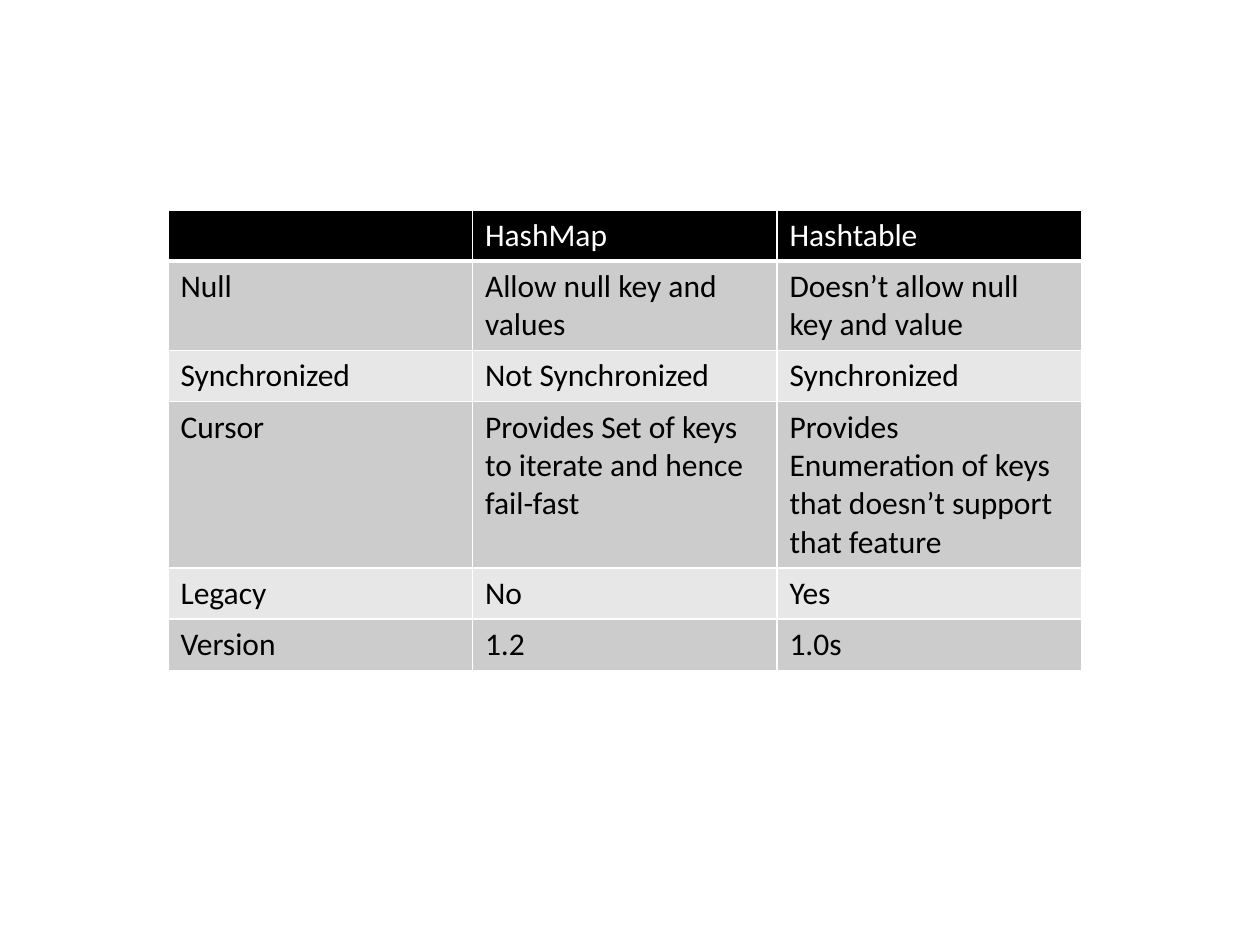
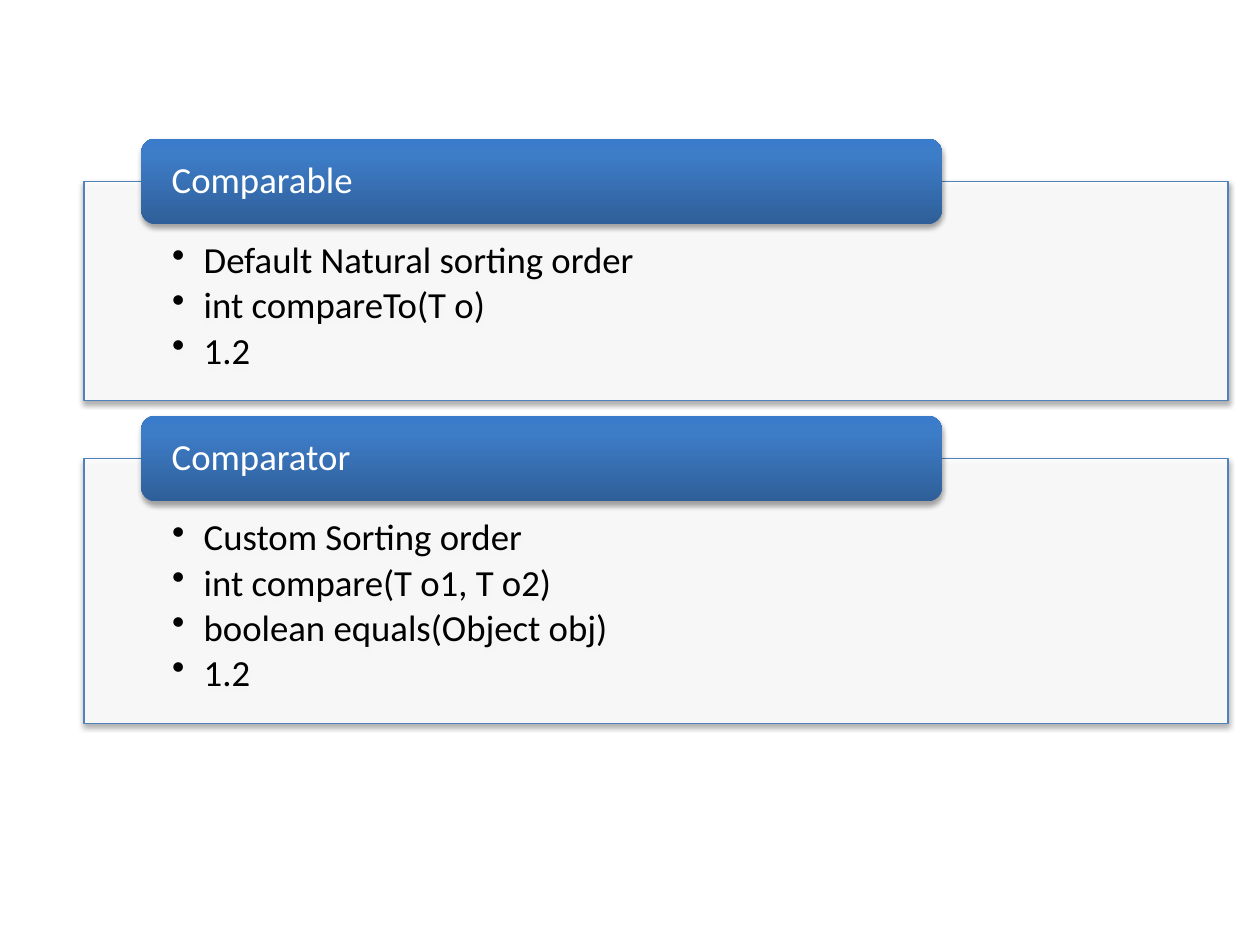
from lxml.etree import SubElement as Sub
from pptx import Presentation
from pptx.dml.color import RGBColor as Rgb
from pptx.enum.shapes import MSO_SHAPE as Geo
from pptx.enum.text import MSO_ANCHOR as Anchor, PP_ALIGN as Align
from pptx.oxml.ns import qn
from pptx.util import Inches as In, Pt

WIDE, HIGH = 10, 7.5
FONT = "Calibri"
HUES = {
    "white": "FFFFFF", "black": "000000", "odd": "CCCCCC", "even": "E7E7E7",
    "edge": "4F81BD", "low": "2F5F99", "mid": "3D7CC7", "top": "3A7CCB",
}
ROWS = [
    ("", "HashMap", "Hashtable"),
    ("Null", "Allow null key and values", "Doesn’t allow null key and value"),
    ("Synchronized", "Not Synchronized", "Synchronized"),
    ("Cursor", "Provides Set of keys to iterate and hence fail-fast",
     "Provides Enumeration of keys that doesn’t support that feature"),
    ("Legacy", "No", "Yes"),
    ("Version", "1.2", "1.0s"),
]
CARDS = [
    ("Comparable", 1.44, 1.74,
     ["Default Natural sorting order", "int compareTo(T o)", "1.2"]),
    ("Comparator", 3.64, 2.1,
     ["Custom Sorting order", "int compare(T o1, T o2)",
      "boolean equals(Object obj)", "1.2"]),
]


def hue(name):
    return Rgb.from_string(HUES[name])


def tint(node, name, alpha=None):
    """Add a colour, with its opacity in percent, to an XML node."""
    clr = Sub(node, qn("a:srgbClr"), val=HUES[name])
    if alpha:
        Sub(clr, qn("a:alpha"), val=str(alpha * 1000))


def style(para, size, name):
    for run in para.runs:
        run.font.size, run.font.name = Pt(size), FONT
        run.font.color.rgb = hue(name)


def border(cell, head):
    """White rules round a cell, thicker below the header."""
    props = cell._tc.get_or_add_tcPr()
    for side in "LRTB":
        width = Pt(3 if head and side == "B" else 1)
        line = Sub(props, qn("a:ln" + side), w=str(width))
        tint(Sub(line, qn("a:solidFill")), "white")


def grid(slide, box, rows):
    """Table with a black header and banded rows."""
    left, top, wide, high = map(In, box)
    cols = len(rows[0])
    table = slide.shapes.add_table(len(rows), cols, left, top, wide, high).table
    for col in table.columns:
        col.width = wide // cols
    for r, row in enumerate(rows):
        back = "black" if r == 0 else "odd" if r % 2 else "even"
        for c, text in enumerate(row):
            cell = table.cell(r, c)
            cell.text = text
            border(cell, r == 0)
            cell.fill.solid()
            cell.fill.fore_color.rgb = hue(back)
            para = cell.text_frame.paragraphs[0]
            para.font.size = Pt(18)
            style(para, 18, "white" if r == 0 else "black")


def block(slide, geo, box, pads):
    """Shape with a soft shadow below and text insets."""
    shape = slide.shapes.add_shape(geo, *map(In, box))
    shape.shadow.inherit = False
    glow = Sub(shape._element.spPr.find(qn("a:effectLst")), qn("a:outerShdw"),
               blurRad=str(Pt(3.1)), dist=str(Pt(1.8)), dir="5400000",
               rotWithShape="0")
    tint(glow, "black", 35)
    frame = shape.text_frame
    frame.word_wrap = True
    frame.margin_left = frame.margin_right = In(pads[0])
    frame.margin_top, frame.margin_bottom = In(pads[1]), In(pads[2])
    return shape


def fit(para, name, after, dot=False):
    """Left-aligned line with spacing in percent and an optional bullet."""
    para.alignment, para.line_spacing = Align.LEFT, 0.9
    props = para._p.get_or_add_pPr()
    Sub(Sub(props, qn("a:spcAft")), qn("a:spcPct"), val=str(after * 1000))
    if dot:
        props.set("marL", str(In(0.25)))
        props.set("indent", str(In(-0.25)))
        Sub(props, qn("a:buChar"), char="•")
    style(para, 21, name)


def card(slide, box, title, lines):
    """Panel of bullets with a title tab across its top edge."""
    left, top, wide, high = box
    # Panel
    panel = block(slide, Geo.RECTANGLE, box, (0.7, 0.48, 0.16))
    panel.fill.solid()
    panel.fill.fore_color.rgb = hue("white")
    clr = panel._element.spPr.find(qn("a:solidFill"))[0]
    Sub(clr, qn("a:alpha"), val="90000")
    panel.line.color.rgb, panel.line.width = hue("edge"), Pt(0.75)
    panel.text_frame.vertical_anchor = Anchor.TOP
    panel.text_frame.text = "\n".join(lines)
    for para in panel.text_frame.paragraphs:
        fit(para, "black", 15, dot=True)

    # Title tab, centred on the panel's top edge
    tall = 0.68
    place = left + wide * 0.05, top - tall / 2, wide * 0.7, tall
    tab = block(slide, Geo.ROUNDED_RECTANGLE, place, (0.21, 0, 0))
    tab.fill.gradient()
    tab.fill.gradient_angle = 90
    stops = tab._element.spPr.find(qn("a:gradFill")).find(qn("a:gsLst"))
    stops.clear()
    for pos, name in (0, "low"), (80, "mid"), (100, "top"):
        tint(Sub(stops, qn("a:gs"), pos=str(pos * 1000)), name)
    tab.line.fill.background()
    tab.text_frame.vertical_anchor = Anchor.MIDDLE
    tab.text_frame.text = title
    fit(tab.text_frame.paragraphs[0], "white", 35)


deck = Presentation()
deck.slide_width, deck.slide_height = In(WIDE), In(HIGH)
blank = deck.slide_layouts[6]

# Slide 1: comparison table
grid(deck.slides.add_slide(blank), (WIDE * 0.1333, HIGH / 4.5, 7.25, 2.43), ROWS)

# Slide 2: two cards
page = deck.slides.add_slide(blank)
for title, top, high, lines in CARDS:
    card(page, (WIDE / 15, top, 9.08, high), title, lines)

deck.save("out.pptx")
